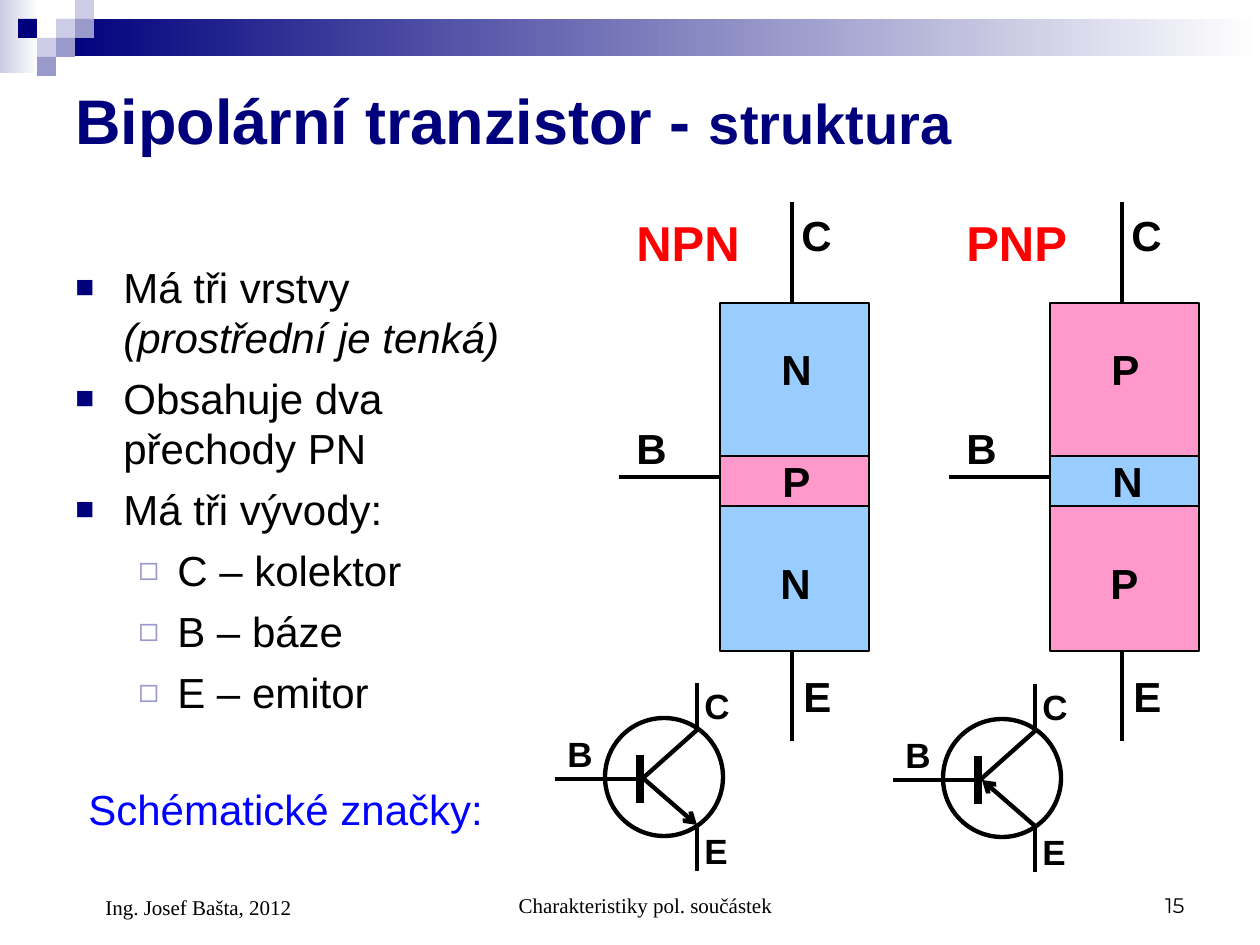
from lxml.etree import SubElement
from pptx import Presentation
from pptx.dml.color import RGBColor as Rgb
from pptx.enum.shapes import MSO_CONNECTOR as Connector, MSO_SHAPE as Shape
from pptx.enum.text import MSO_ANCHOR as Anchor, PP_ALIGN as Align
from pptx.oxml.ns import qn
from pptx.util import Emu, Pt

COLORS = {
    "navy": "00007D", "violet": "9999CC", "lilac": "CCCCE6", "white": "FFFFFF",
    "black": "000000", "red": "FF0000", "blue": "0000FF",
    "N": "99CCFF", "P": "FF99CC",
}
PX_PER_INCH = 126
LEAD, BAR, OUTLINE = 2.5, 5, 0.75


def px(length):
    return Emu(round(length * 914400 / PX_PER_INCH))


def color(name):
    return Rgb.from_string(COLORS[name])


def add_shape(page, kind, box, fill=None, line=None):
    shape = page.shapes.add_shape(kind, *map(px, box))
    shape.shadow.inherit = False
    if fill:
        shape.fill.solid()
        shape.fill.fore_color.rgb = color(fill)
    else:
        shape.fill.background()
    if line:
        shape.line.color.rgb = color("black")
        shape.line.width = Pt(line)
    else:
        shape.line.fill.background()
    return shape


def add_fade(page, box, name):
    """Rectangle fading from the named colour at the left to white."""
    shape = add_shape(page, Shape.RECTANGLE, box)
    shape.fill.gradient()
    shape.fill.gradient_angle = 180
    for stop, stop_name in zip(shape.fill.gradient_stops, ("white", name)):
        stop.color.rgb = color(stop_name)


def add_line(page, origin, start, end, width=LEAD, arrow=False):
    left, top = origin
    line = page.shapes.add_connector(
        Connector.STRAIGHT,
        px(left + start[0]), px(top + start[1]),
        px(left + end[0]), px(top + end[1]))
    line.line.color.rgb = color("black")
    line.line.width = Pt(width)
    if arrow:
        SubElement(line.line._get_or_add_ln(), qn("a:tailEnd"), type="arrow")
    SubElement(line._element.spPr, qn("a:effectLst"))


def set_font(font, size, name="black", bold=False, face="Arial"):
    font.name, font.size, font.bold = face, Pt(size), bold
    font.color.rgb = color(name)


def add_frame(page, box, anchor=Anchor.TOP):
    frame = page.shapes.add_textbox(*map(px, box)).text_frame
    frame.word_wrap = True
    frame.vertical_anchor = anchor
    return frame


def add_text(page, box, text, size, name="black", bold=False, face="Arial",
             anchor=Anchor.TOP, align=Align.LEFT, margin=0):
    para = add_frame(page, box, anchor).paragraphs[0]
    para.add_run().text = text
    para.alignment = align
    if margin:
        para._p.get_or_add_pPr().set("marL", str(px(margin)))
    set_font(para.font, size, name, bold, face)


def add_labels(page, origin, labels, box_size, size):
    left, top = origin
    for text, x, y in labels:
        add_text(page, (left + x, top + y, *box_size), text, size, bold=True)


def set_bullet(para, char, name, percent, margin, indent):
    props = para._p.get_or_add_pPr()
    props.set("marL", str(px(margin)))
    props.set("indent", str(px(-indent)))
    bullet_color = SubElement(props, qn("a:buClr"))
    SubElement(bullet_color, qn("a:srgbClr"), val=COLORS[name])
    SubElement(props, qn("a:buSzPct"), val=str(percent * 1000))
    SubElement(props, qn("a:buFont"), typeface="Arial")
    SubElement(props, qn("a:buChar"), char=char)


def add_banner(page):
    add_fade(page, (0, 0, 39, 73), "lilac")
    add_fade(page, (57, 19, 1203, 37), "navy")
    tile = 19
    for column, row, name in (
            (3, 1, "lilac"), (4, 0, "lilac"), (4, 1, "violet"),
            (2, 2, "lilac"), (1, 1, "navy"), (3, 2, "violet"),
            (2, 3, "violet")):
        box = (column * tile - 1, row * tile, tile, tile)
        add_shape(page, Shape.RECTANGLE, box, name)


def add_title(page, box):
    para = add_frame(page, box, Anchor.MIDDLE).paragraphs[0]
    set_font(para.font, 36, "navy", bold=True)
    para.add_run().text = "Bipolární tranzistor - "
    span = para.add_run()
    span.text = "struktura"
    span.font.size = Pt(32)


def add_bullets(page, box):
    frame = add_frame(page, box)
    items = (
        (0, "Má tři vrstvy ", "(prostřední je tenká)"),
        (0, "Obsahuje dva přechody PN", ""),
        (0, "Má tři vývody:", ""),
        (1, "C – kolektor", ""),
        (1, "B – báze", ""),
        (1, "E – emitor", ""),
    )
    styles = (("■", "navy", 75, 48, 48), ("◻", "violet", 80, 102, 39))
    for index, (level, text, remark) in enumerate(items):
        para = frame.add_paragraph() if index else frame.paragraphs[0]
        para.level = level
        set_bullet(para, *styles[level])
        set_font(para.font, 24)
        if index:
            para.space_before = Pt(6)
        para.add_run().text = text
        if remark:
            span = para.add_run()
            span.text = remark
            span.font.italic = True


def add_structure(page, origin, outer, middle):
    """Layer stack with its three leads; outer and middle are N or P."""
    left, top = origin
    add_line(page, origin, (0, 275), (126, 275))
    add_line(page, origin, (173, 0), (173, 539))
    for y, height, layer in ((101, 348, outer), (254, 50, middle)):
        box = (left + 101, top + y, 149, height)
        add_shape(page, Shape.RECTANGLE, box, layer, OUTLINE)
    labels = ((outer, 150, 135), (middle, 151, 247), (outer, 149, 349),
              ("E", 172, 462), ("C", 170, 1), ("B", 5, 214))
    add_labels(page, origin, labels, (60, 63), 24)
    add_text(page, (left + 5, top + 4, 132, 72), outer + middle + outer,
             28, "red", bold=True)


def add_symbol(page, origin, inward):
    """Circuit symbol; the emitter arrow points to the base if inward."""
    left, top = origin
    add_shape(page, Shape.OVAL, (left + 50, top + 40, 118, 118), line=LEAD)
    add_line(page, origin, (85, 77), (85, 125), BAR)
    add_line(page, origin, (87, 101), (142, 52))
    emitter = ((89, 101), (142, 147))
    add_line(page, origin, *(emitter[::-1] if inward else emitter), arrow=True)
    add_line(page, origin, (85, 101), (0, 101))
    add_line(page, origin, (142, 49), (142, 5))
    add_line(page, origin, (142, 193), (142, 149))
    labels = (("C", 137, 0), ("B", 0, 48), ("E", 137, 145))
    add_labels(page, origin, labels, (57, 55), 20)


def add_footer(page, top):
    face = "Times New Roman"
    add_text(page, (431, top, 399, 63), "Charakteristiky pol. součástek", 12,
             face=face, anchor=Anchor.BOTTOM, align=Align.CENTER, margin=30)
    add_text(page, (903, top, 294, 63), "15", 12, face="Montserrat",
             anchor=Anchor.BOTTOM, align=Align.RIGHT)
    add_text(page, (63, top, 294, 65), "Ing. Josef Bašta, 2012", 12,
             face=face, anchor=Anchor.BOTTOM, margin=30)


def main():
    deck = Presentation()
    deck.slide_width, deck.slide_height = px(1260), px(945)
    page = deck.slides.add_slide(deck.slide_layouts[6])
    add_banner(page)
    add_title(page, (63, 63, 1134, 113))
    add_bullets(page, (63, 255, 451, 484))
    add_structure(page, (619, 202), "N", "P")
    add_structure(page, (949, 202), "P", "N")
    add_symbol(page, (555, 678), inward=False)
    add_symbol(page, (893, 679), inward=True)
    add_text(page, (76, 777, 420, 63), "Schématické značky:", 24, "blue")
    add_footer(page, 861)
    deck.save("out.pptx")


if __name__ == "__main__":
    main()
